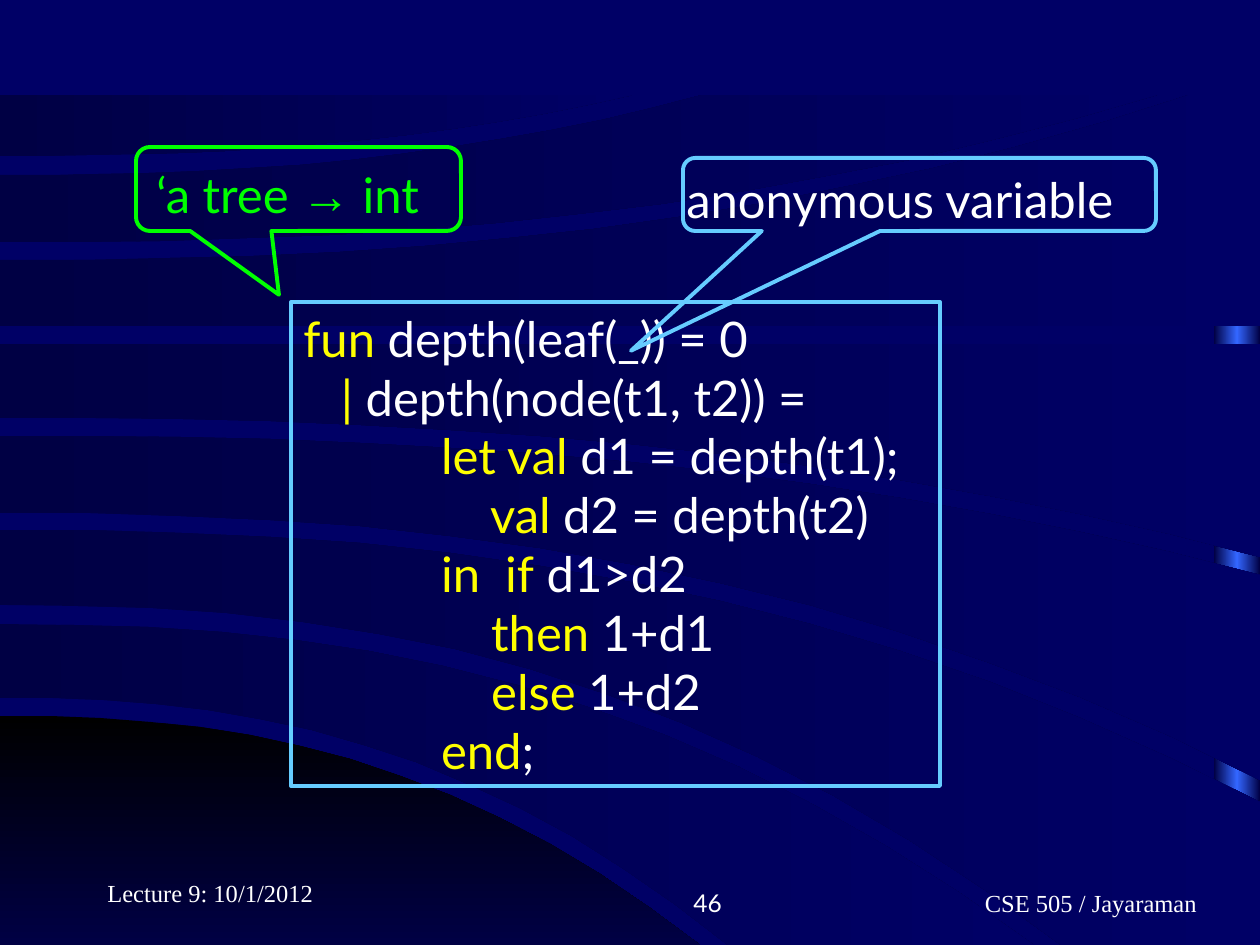
from copy import deepcopy
from dataclasses import dataclass, field

from pptx import Presentation
from pptx.dml.color import RGBColor
from pptx.enum.shapes import MSO_SHAPE
from pptx.enum.text import MSO_ANCHOR, MSO_AUTO_SIZE, PP_ALIGN
from pptx.util import Emu, Inches, Pt

SCALE = 914400 / 126
WIDE, HIGH, TOP = 1260, 945, 95
BEND, STEPS = 2.4, 14
WHITE, YELLOW, GREEN, SKY = "FFFFFF", "FFFF00", "00FF00", "66CCFF"
NAVY, DARK, BLUE, BLACK = "000066", "000044", "3366FF", "000000"
SANS, SERIF, ARROW = "Lato", "Times New Roman", "Arial"


@dataclass
class Box:
    left: int
    top: int
    width: int
    height: int

    def emu(self) -> list[Emu]:
        return [px(n) for n in (self.left, self.top, self.width, self.height)]


@dataclass
class Edge:
    """A curve that leaves the left side level and bends towards its end."""
    start: int
    reach: int
    end: int

    def points(self) -> list[tuple[float, float]]:
        parts = [i / STEPS for i in range(STEPS + 1)]
        rise = self.end - self.start
        return [(self.reach * t, self.start + rise * t ** BEND) for t in parts]


@dataclass
class Band:
    upper: Edge
    lower: Edge
    corner: list[tuple[int, int]] = field(default_factory=list)

    def points(self) -> list[tuple[float, float]]:
        return self.upper.points() + self.corner + self.lower.points()[::-1]


@dataclass
class Run:
    text: str
    color: str = WHITE
    font: str = SANS


@dataclass
class Footer:
    box: Box
    run: Run
    align: PP_ALIGN
    inset: int = 13


@dataclass
class Callout:
    box: Box
    label: Box
    color: str
    tip: tuple[float, float]
    runs: list[Run]


HILL = Band(Edge(716, 700, HIGH), Edge(HIGH, 700, HIGH))
BANDS = [
    Band(Edge(624, 1034, HIGH), Edge(698, 728, HIGH)),
    Band(Edge(530, WIDE, 802), Edge(605, 1061, HIGH), [(WIDE, HIGH)]),
    Band(Edge(436, WIDE, 575), Edge(513, WIDE, 780)),
    Band(Edge(344, WIDE, 344), Edge(418, WIDE, 557)),
    Band(Edge(260, 1189, TOP), Edge(326, WIDE, 326), [(WIDE, TOP)]),
    Band(Edge(175, 702, TOP), Edge(242, 1157, TOP)),
    Band(Edge(TOP, 633, TOP), Edge(156, 633, TOP)),
]

# Each line of code: indent in spaces, keyword, rest
CODE = [
    (0, "fun", " depth(leaf(_)) = 0"),
    (3, "|", " depth(node(t1, t2)) ="),
    (11, "let val", " d1 = depth(t1);"),
    (15, "val", " d2 = depth(t2)"),
    (11, "in  if", " d1>d2"),
    (15, "then", " 1+d1"),
    (15, "else", " 1+d2"),
    (11, "end", ";"),
]

FOOTERS = [
    Footer(Box(829, 861, 399, 63), Run("CSE 505 / Jayaraman", font=SERIF),
           PP_ALIGN.RIGHT, 31),
    Footer(Box(473, 861, 262, 63), Run("46"), PP_ALIGN.RIGHT),
    Footer(Box(95, 851, 262, 63), Run("Lecture 9: 10/1/2012", font=SERIF),
           PP_ALIGN.LEFT),
]

CALLOUTS = [
    Callout(Box(683, 158, 473, 73), Box(674, 163, 493, 72), SKY, (-0.61, 2.14),
            [Run("anonymous variable")]),
    Callout(Box(136, 147, 325, 84), Box(144, 158, 301, 72), GREEN, (-0.06, 1.26),
            [Run("‘a tree ", GREEN), Run("→", GREEN, ARROW), Run(" int", GREEN)]),
]


def px(n: int) -> Emu:
    return Emu(round(n * SCALE))


def rgb(code: str) -> RGBColor:
    return RGBColor.from_string(code)


def blend(shape, colors: list[str], angle: int = 0) -> None:
    """Fill with evenly spaced gradient stops and no outline."""
    shape.shadow.inherit = False
    shape.line.fill.background()
    shape.fill.gradient()
    shape.fill.gradient_angle = angle
    stops = shape._element.spPr.xpath(".//a:gsLst")[0]
    for _ in colors[2:]:
        stops.append(deepcopy(stops[0]))
    for i, (stop, color) in enumerate(zip(shape.fill.gradient_stops, colors)):
        stop.position = i / (len(colors) - 1)
        stop.color.rgb = rgb(color)


def wave(slide, band: Band, colors: list[str], angle: int = 0) -> None:
    first, *rest = band.points()
    pen = slide.shapes.build_freeform(*first, scale=SCALE)
    pen.add_line_segments(rest, close=True)
    blend(pen.convert_to_shape(), colors, angle)


def frame(slide, kind: MSO_SHAPE, box: Box, color: str):
    shape = slide.shapes.add_shape(kind, *box.emu())
    shape.shadow.inherit = False
    shape.fill.background()
    shape.line.color.rgb = rgb(color)
    shape.line.width = Pt(2.25)
    return shape


def write(para, runs: list[Run], size: int = 28, align: PP_ALIGN = PP_ALIGN.LEFT) -> None:
    para.alignment = align
    for item in runs:
        run = para.add_run()
        run.text = item.text
        run.font.size = Pt(size)
        run.font.name = item.font
        run.font.color.rgb = rgb(item.color)


def fit(text) -> None:
    text.word_wrap = False
    text.auto_size = MSO_AUTO_SIZE.SHAPE_TO_FIT_TEXT
    text.vertical_anchor = MSO_ANCHOR.TOP


def backdrop(slide) -> None:
    slide.background.fill.solid()
    slide.background.fill.fore_color.rgb = rgb(NAVY)
    box = Box(1214, 97, WIDE - 1214, HIGH - 97)
    strip = slide.shapes.add_shape(MSO_SHAPE.RECTANGLE, *box.emu())
    blend(strip, [DARK, BLUE, DARK])
    wave(slide, HILL, [BLACK, DARK], 270)
    for band in BANDS:
        wave(slide, band, [DARK, NAVY])


def footer(slide, item: Footer) -> None:
    text = slide.shapes.add_textbox(*item.box.emu()).text_frame
    text.word_wrap = True
    text.vertical_anchor = MSO_ANCHOR.BOTTOM
    text.margin_right = px(item.inset)
    write(text.paragraphs[0], [item.run], 14, item.align)


def listing(slide) -> None:
    text = frame(slide, MSO_SHAPE.RECTANGLE, Box(291, 302, 649, 484), SKY).text_frame
    fit(text)
    for i, (indent, word, rest) in enumerate(CODE):
        para = text.add_paragraph() if i else text.paragraphs[0]
        write(para, [Run(" " * indent + word, YELLOW), Run(rest)])


def callout(slide, item: Callout) -> None:
    shape = frame(slide, MSO_SHAPE.ROUNDED_RECTANGULAR_CALLOUT, item.box, item.color)
    shape.adjustments[0], shape.adjustments[1] = item.tip
    text = slide.shapes.add_textbox(*item.label.emu()).text_frame
    fit(text)
    write(text.paragraphs[0], item.runs)


def main() -> None:
    deck = Presentation()
    deck.slide_width, deck.slide_height = Inches(10), Inches(7.5)
    slide = deck.slides.add_slide(deck.slide_layouts[6])
    backdrop(slide)
    for item in FOOTERS:
        footer(slide, item)
    listing(slide)
    for item in CALLOUTS:
        callout(slide, item)
    deck.save("out.pptx")


if __name__ == "__main__":
    main()
